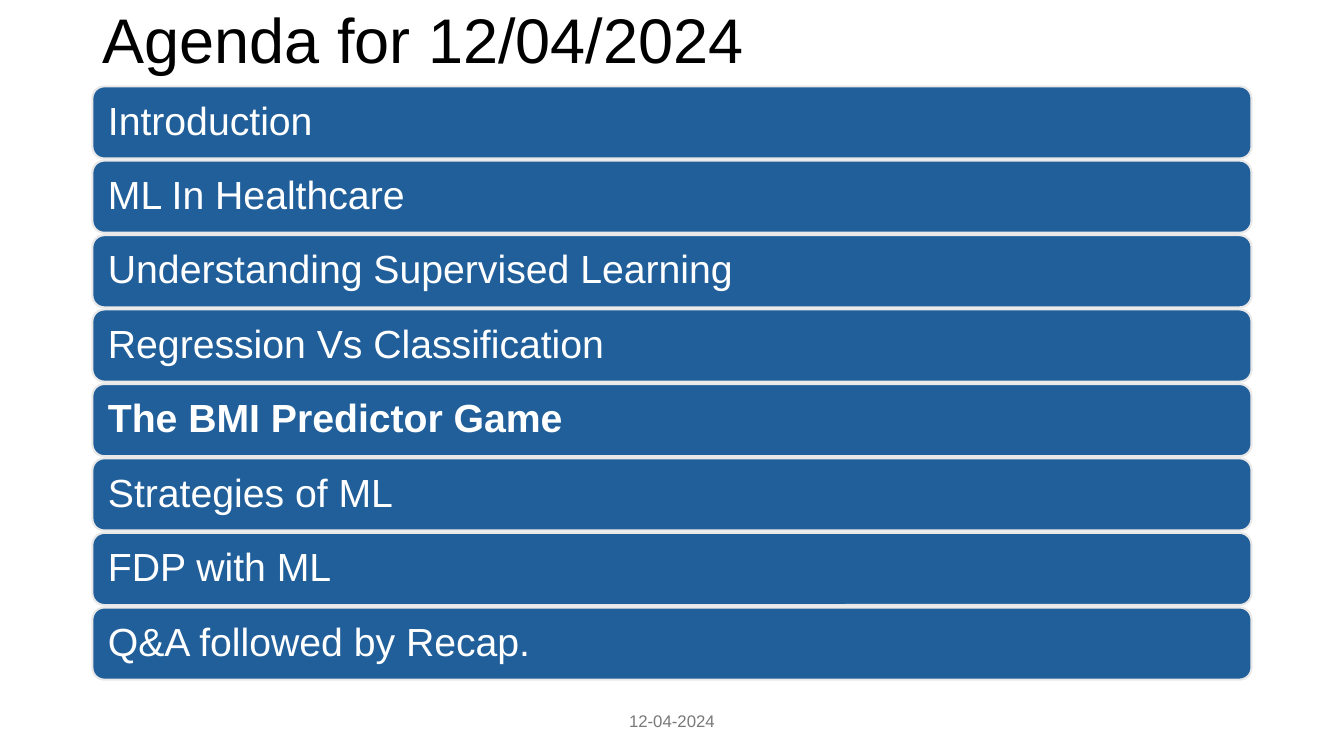
"""Build the agenda slide with one rounded bar per topic."""
from dataclasses import dataclass

from pptx import Presentation
from pptx.dml.color import RGBColor
from pptx.enum.shapes import MSO_SHAPE as Shape
from pptx.enum.text import MSO_ANCHOR as Anchor, MSO_AUTO_SIZE as Fit, PP_ALIGN as Align
from pptx.util import Emu, Pt

SCALE = 3048
FONT = "Arial"
BLACK = RGBColor(0x00, 0x00, 0x00)
WHITE = RGBColor(0xFF, 0xFF, 0xFF)
BLUE = RGBColor(0x21, 0x5F, 0x9A)
PALE = RGBColor(0xE8, 0xE8, 0xE8)
GREY = RGBColor(0x79, 0x79, 0x79)

LEFT, TOP, WIDTH, HEIGHT = 275, 257, 3450, 215
SPAN = 1551


@dataclass(frozen=True)
class Topic:
    text: str
    bold: bool = False


TOPICS = [
    Topic("Introduction"),
    Topic("ML In Healthcare"),
    Topic("Understanding Supervised Learning"),
    Topic("Regression Vs Classification"),
    Topic("The BMI Predictor Game", bold=True),
    Topic("Strategies of ML"),
    Topic("FDP with ML"),
    Topic("Q&A followed by Recap."),
]


def px(size: int) -> Emu:
    return Emu(size * SCALE)


def write(shape, text: str, *, size: int, color: RGBColor, bold: bool = False,
          align: Align = Align.LEFT, line: float = 1.0, inset: int = 30,
          pad: int = 15) -> None:
    frame = shape.text_frame
    frame.auto_size = Fit.NONE
    frame.word_wrap = True
    frame.vertical_anchor = Anchor.MIDDLE
    frame.margin_left = frame.margin_right = px(inset)
    frame.margin_top = frame.margin_bottom = px(pad)
    para = frame.paragraphs[0]
    para.alignment = align
    para.line_spacing = line
    run = para.add_run()
    run.text = text
    font = run.font
    font.name = FONT
    font.size = Pt(size)
    font.bold = bold
    font.color.rgb = color


def add_bar(slide, topic: Topic, top: int) -> None:
    bar = slide.shapes.add_shape(
        Shape.ROUNDED_RECTANGLE, px(LEFT), px(top), px(WIDTH), px(HEIGHT))
    bar.shadow.inherit = False
    bar.fill.solid()
    bar.fill.fore_color.rgb = BLUE
    bar.line.color.rgb = PALE
    bar.line.width = Pt(1.5)
    write(bar, topic.text, size=28, color=WHITE, bold=topic.bold,
          line=0.9, inset=36, pad=36)


def main() -> None:
    deck = Presentation()
    deck.slide_width, deck.slide_height = px(4000), px(2250)
    slide = deck.slides.add_slide(deck.slide_layouts[5])

    title = slide.shapes.title
    title.left, title.top, title.width, title.height = map(px, (275, 31, 3402, 192))
    write(title, "Agenda for 12/04/2024", size=45, color=BLACK, line=0.9)

    for row, topic in enumerate(TOPICS):
        add_bar(slide, topic, TOP + row * SPAN // (len(TOPICS) - 1))

    date = slide.shapes.add_textbox(*map(px, (1325, 2085, 1350, 120)))
    write(date, "12-04-2024", size=12, color=GREY, align=Align.CENTER)

    deck.save("out.pptx")


if __name__ == "__main__":
    main()
